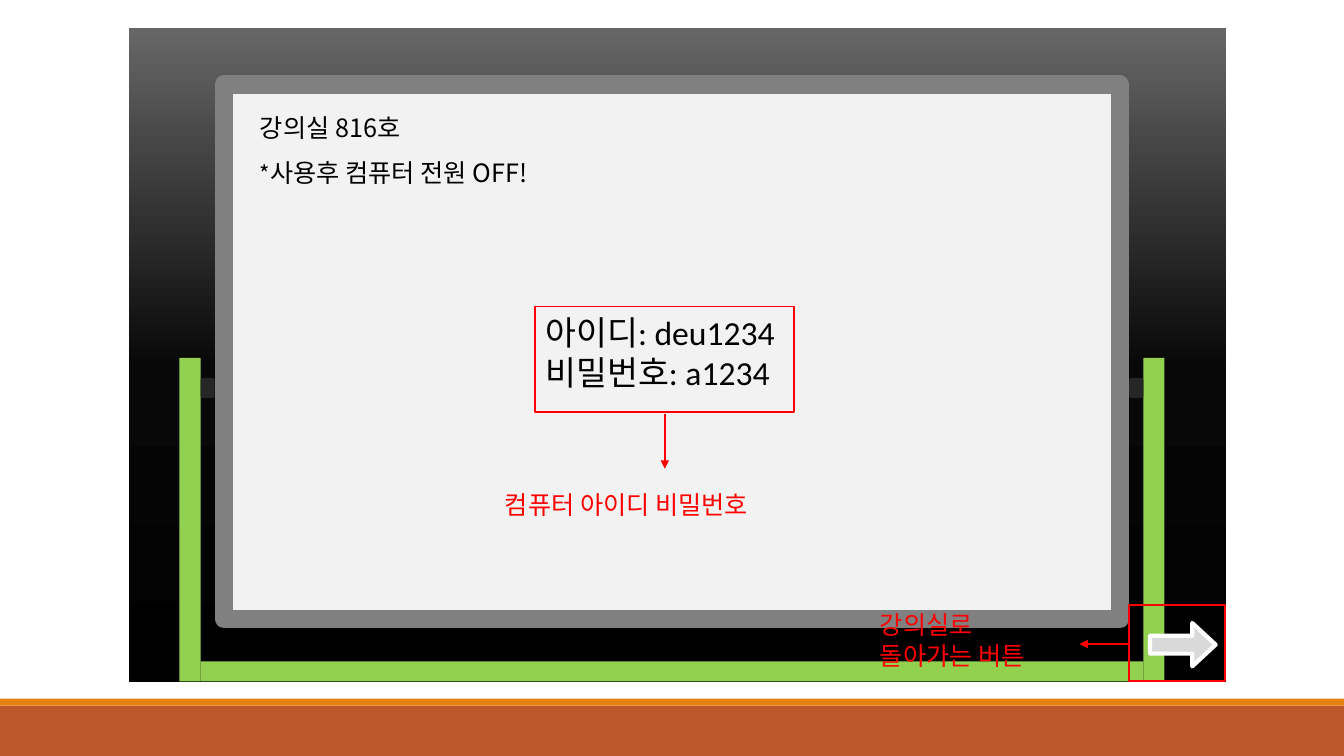
from copy import deepcopy

from lxml import etree
from pptx import Presentation
from pptx.dml.color import RGBColor
from pptx.enum import shapes, text
from pptx.oxml.ns import qn
from pptx.util import Pt

SLIDE_W, SLIDE_H = 960, 540
KOREAN, LATIN = "Noto Sans CJK KR", "Calibri"
COLORS = {
    "footer": "BD582C", "stripe": "E48312", "board": "F2F2F2",
    "frame": "808080", "stand": "92D050", "hinge": "262626",
    "arrow": "D9D9D9", "white": "FFFFFF", "note": "FF0000", "ink": "000000",
}
WALL_STOPS = [(0, "000000"), (0.48, "080808"), (1, "666666")]
SHAPE = shapes.MSO_SHAPE


def rgb(name):
    return RGBColor.from_string(COLORS[name])


def add_block(slide, box, fill=None, line=None, width=1, kind=SHAPE.RECTANGLE):
    block = slide.shapes.add_shape(kind, *map(Pt, box))
    block.shadow.inherit = False
    if fill:
        block.fill.solid()
        block.fill.fore_color.rgb = rgb(fill)
    else:
        block.fill.background()
    if line:
        block.line.color.rgb = rgb(line)
        block.line.width = Pt(width)
    else:
        block.line.fill.background()
    return block


def add_label(slide, box, lines, size=18, font=LATIN, color="ink"):
    label = slide.shapes.add_textbox(*map(Pt, box))
    frame = label.text_frame
    frame.word_wrap = True
    frame.auto_size = text.MSO_AUTO_SIZE.SHAPE_TO_FIT_TEXT
    frame.text = "\n".join(lines)
    for paragraph in frame.paragraphs:
        for run in paragraph.runs:
            style_run(run, size, font, color)
    return frame


def style_run(run, size, font, color):
    run.font.size = Pt(size)
    run.font.name = font
    run.font.color.rgb = rgb(color)
    east_asian = etree.SubElement(run.font._element, qn("a:ea"))
    east_asian.set("typeface", KOREAN)


def add_pointer(slide, start, end):
    """Draw a red callout line with an arrowhead at its end."""
    pointer = slide.shapes.add_connector(
        shapes.MSO_CONNECTOR.STRAIGHT, *map(Pt, start + end))
    pointer.line.color.rgb = rgb("note")
    pointer.line.width = Pt(1)
    etree.SubElement(pointer.line._get_or_add_ln(), qn("a:tailEnd"), type="triangle")
    etree.SubElement(pointer._element.spPr, qn("a:effectLst"))


def add_footer(slide, box):
    left, top, width, height = box
    stripe = 5
    add_block(slide, (left, top + stripe, width, height - stripe), "footer")
    add_block(slide, (left, top, width, stripe), "stripe")


def add_wall(slide, box):
    wall = add_block(slide, box, "ink")
    wall.fill.gradient()
    wall.fill.gradient_angle = 90
    first = wall.fill.gradient_stops[0]._gs
    first.addnext(deepcopy(first))
    for stop, (position, color) in zip(wall.fill.gradient_stops, WALL_STOPS):
        stop.position = position
        stop.color.rgb = RGBColor.from_string(color)


def add_whiteboard(slide, box):
    left, top, width, height = box
    add_block(slide, box, "board", "frame", 13.25)
    reminder = add_label(slide, (left + 18.6, top + 48.2, 235.4, 28.8),
                         ["*사용후 컴퓨터 전원 OFF!"], font=KOREAN)
    sentence = reminder.paragraphs[0]
    star = sentence.runs[0]
    star.text = "*"
    star.font.size = Pt(16)
    message = sentence.add_run()
    message.text = "사용후 컴퓨터 전원 OFF!"
    style_run(message, 18, KOREAN, "ink")
    add_label(slide, (left + 18.6, top + 16.5, 235.4, 28.8),
              ["강의실 816호"], font=KOREAN)
    add_label(slide, (left + 222.4, top + 158.4, 245.5, 65.5),
              ["아이디: deu1234", "비밀번호: a1234"], size=24)


def add_stand(slide, box):
    """Two posts joined by a rail, with a hinge on the inside of each post."""
    left, top, width, height = box
    post, rail, hinge = 15.1, 14.4, 10.1
    for x in (left, left + width - post):
        add_block(slide, (x, top, post, height), "stand")
    for x in (left + post, left + width - post - hinge):
        add_block(slide, (x, top + 14.4, hinge, 14.4), "hinge",
                  kind=SHAPE.ROUNDED_RECTANGLE)
    add_block(slide, (left + post, top + height - rail, width - 2 * post, rail),
              "stand")


def add_login_callout(slide, box):
    left, top, width, height = box
    add_block(slide, box, line="note", width=1.25)
    middle, bottom = left + width / 2, top + height
    add_pointer(slide, (middle, bottom + 1.5), (middle, bottom + 40.3))
    add_label(slide, (left - 28.8, bottom + 51.8, 267.8, 28.8),
              ["컴퓨터 아이디 비밀번호"], color="note")


def add_return_button(slide, box):
    left, top, width, height = box
    arrow = add_block(slide, (left + 15.1, top + 13, 46.8, 31), "arrow", "white",
                      3, SHAPE.LEFT_ARROW)
    arrow.rotation = 180
    arrow.adjustments[0] = 0.41
    arrow.adjustments[1] = 0.54
    add_block(slide, box, line="note", width=1.25)
    middle = top + height / 2 + 0.7
    add_pointer(slide, (left, middle), (left - 35.3, middle))
    add_label(slide, (left - 185, top, 139.7, 51.1),
              ["강의실로 돌아가는 버튼"], color="note")


def main():
    deck = Presentation()
    deck.slide_width, deck.slide_height = Pt(SLIDE_W), Pt(SLIDE_H)
    slide = deck.slides.add_slide(deck.slide_layouts[6])
    add_footer(slide, (0, 499, SLIDE_W, 41))
    add_wall(slide, (92.2, 20.2, 783.4, 466.6))
    add_whiteboard(slide, (160, 60.5, 640, 381.6))
    add_stand(slide, (128.2, 255.6, 703.6, 231.2))
    add_login_callout(slide, (382.4, 218.9, 185, 75.6))
    add_return_button(slide, (806.4, 432, 68.6, 54.7))
    deck.save("out.pptx")


if __name__ == "__main__":
    main()
